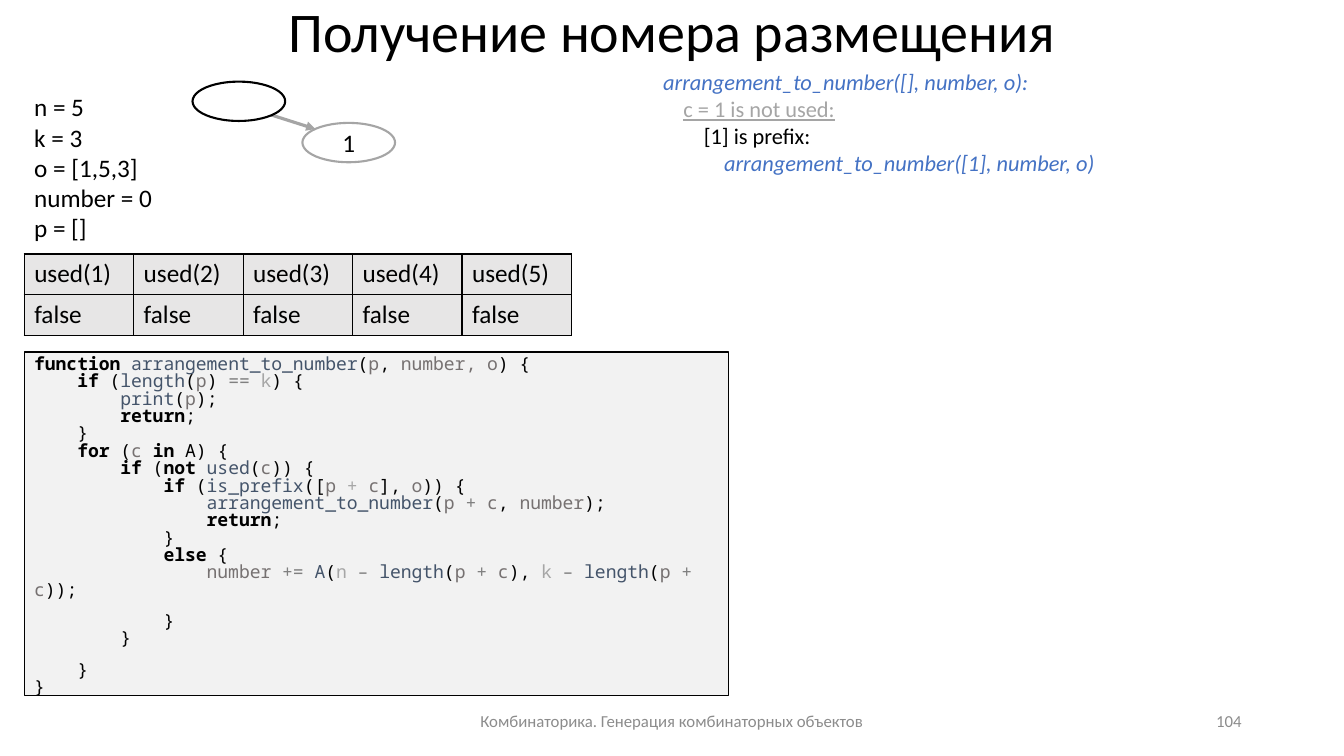
from lxml import etree
from pptx import Presentation
from pptx.dml.color import RGBColor
from pptx.enum.shapes import MSO_CONNECTOR, MSO_SHAPE
from pptx.enum.text import MSO_ANCHOR, PP_ALIGN
from pptx.oxml.ns import qn
from pptx.util import Pt

RECTANGLE, OVAL = MSO_SHAPE.RECTANGLE, MSO_SHAPE.OVAL
STRAIGHT = MSO_CONNECTOR.STRAIGHT
TOP, MIDDLE = MSO_ANCHOR.TOP, MSO_ANCHOR.MIDDLE
LEFT, CENTER, RIGHT = PP_ALIGN.LEFT, PP_ALIGN.CENTER, PP_ALIGN.RIGHT

COLORS = {
    "black": "000000", "white": "FFFFFF", "code_fill": "F2F2F2",
    "cell_fill": "E7E6E6", "function": "44546A", "variable": "767171",
    "operator": "808080", "pale": "A6A6A6", "call": "4472C4",
    "branch": "A5A5A5", "footer": "8C8C8C",
}
RGB = {name: RGBColor.from_string(value) for name, value in COLORS.items()}

# The first character of a text piece selects its style
STYLES = {
    "*": ("black", {"bold": True}),
    "@": ("function", {}),
    "$": ("variable", {}),
    "~": ("operator", {}),
    "%": ("pale", {}),
    "!": ("call", {"italic": True}),
    "_": ("branch", {"underline": True}),
    "#": ("footer", {}),
}

CODE_PARAGRAPHS = [
    [
        "*function |@arrangement_to_number|(|$p|, |$number, o|) {",
        "    |*if| (|@length|(|$p|) |~== |%k|) {",
        "        |@print|(|$p|);",
        "        |*return|;",
        "    }",
        "    |*for| (|$c |*in| A) {",
        "        |*if| (|*not |@used|(|$c|)) {",
        "            |*if| (|@is_prefix|([|$p |%+ |$c|], |$o|)) {",
        "                |@arrangement_to_number|(|$p |~+ |$c|, |$number|);",
        "                |*return|;",
        "            }",
        "            |*else| {",
        "                |$number |~+= |@A|(|%n |~– |@length|(|$p |~+ |$c|), "
        "|%k|~ – |@length|(|$p |~+|$ c|));",
    ],
    ["            }", "        }"],
    ["    }", "}"],
]
TRACE = [
    "!arrangement_to_number([], number, o):",
    "_c = 1 is not used:",
    "[1] is prefix:",
    "!arrangement_to_number([1], number, o)",
]
STATE = ["n = 5", "k = 3", "o = [1,5,3]", "number = 0", "p = []"]


def write_line(paragraph, line, size, face="Calibri"):
    """Add the pieces of line, separated by |, as styled runs."""
    for piece in line.split("|"):
        color, formats = STYLES.get(piece[0], ("black", {}))
        run = paragraph.add_run()
        run.text = piece[1:] if piece[0] in STYLES else piece
        run.font.color.rgb = RGB[color]
        for name, value in {"size": Pt(size), "name": face, **formats}.items():
            setattr(run.font, name, value)


def add_text(box, lines, size, align=LEFT, anchor=TOP, indent=0):
    """Put one line in each paragraph, each indented further by indent."""
    slide_shape = slide.shapes.add_textbox(*map(Pt, box))
    frame = slide_shape.text_frame
    frame.word_wrap = True
    frame.vertical_anchor = anchor
    for level, line in enumerate(lines):
        paragraph = frame.paragraphs[0] if level == 0 else frame.add_paragraph()
        paragraph.alignment = align
        if indent:
            paragraph._p.get_or_add_pPr().set("marL", str(Pt(level * indent)))
        write_line(paragraph, line, size)
    return frame


presentation = Presentation()
presentation.slide_width, presentation.slide_height = Pt(960), Pt(540)
slide = presentation.slides.add_slide(presentation.slide_layouts[6])

# Title
title = add_text((66, -27.4, 828, 104.4), ["Получение номера размещения"], 40, CENTER, MIDDLE)
title.paragraphs[0].line_spacing = 0.9

# Code listing
listing = slide.shapes.add_shape(RECTANGLE, Pt(17.3), Pt(251.3), Pt(503.3), Pt(245.5))
listing.shadow.inherit = False
listing.fill.solid()
listing.fill.fore_color.rgb = RGB["code_fill"]
listing.line.color.rgb = RGB["black"]
listing.line.width = Pt(1)
code = listing.text_frame
code.word_wrap = True
code.vertical_anchor = TOP
for index, lines in enumerate(CODE_PARAGRAPHS):
    paragraph = code.add_paragraph() if index else code.paragraphs[0]
    paragraph.alignment = LEFT
    paragraph.line_spacing = 0.8
    if index:
        paragraph.space_before = Pt(10)
    for row, line in enumerate(lines):
        if row:
            paragraph.add_line_break()
        write_line(paragraph, line, 12.9, "Noto Sans Mono")

# Variables and call trace
add_text((17.3, 61.9, 104.4, 116.6), STATE, 18)
add_text((466.6, 45.4, 344.2, 85), TRACE, 16, indent=14.5)

# Table of used elements
table = slide.shapes.add_table(2, 5, Pt(17.3), Pt(181.4), Pt(391), Pt(58.4)).table
table.first_row = table.horz_banding = False
for column in table.columns:
    column.width = Pt(78.2)
for row in table.rows:
    row.height = Pt(29.2)
for row in range(2):
    for column in range(5):
        cell = table.cell(row, column)
        write_line(cell.text_frame.paragraphs[0], "false" if row else f"used({column + 1})", 18)
        properties = cell._tc.get_or_add_tcPr()
        for side in ("a:lnL", "a:lnR", "a:lnT", "a:lnB"):
            border = etree.SubElement(properties, qn(side), w=str(Pt(1)))
            fill = etree.SubElement(border, qn("a:solidFill"))
            etree.SubElement(fill, qn("a:srgbClr"), val=COLORS["black"])
        cell.fill.solid()
        cell.fill.fore_color.rgb = RGB["cell_fill"]

# Search tree
arrow = slide.shapes.add_connector(STRAIGHT, Pt(193.7), Pt(82.1), Pt(225.4), Pt(92.2))
arrow.line.color.rgb = RGB["branch"]
arrow.line.width = Pt(2.25)
etree.SubElement(arrow.line._get_or_add_ln(), qn("a:tailEnd"), type="triangle")
etree.SubElement(arrow._element.spPr, qn("a:effectLst"))
for left, top, color, label in [(137.5, 58.3, "black", ""), (216, 87.8, "branch", "1")]:
    node = slide.shapes.add_shape(OVAL, Pt(left), Pt(top), Pt(66.2), Pt(28.1))
    node.shadow.inherit = False
    node.fill.solid()
    node.fill.fore_color.rgb = RGB["white"]
    node.line.color.rgb = RGB[color]
    node.line.width = Pt(1.5)
    node.text_frame.vertical_anchor = MIDDLE
    if label:
        node.text_frame.paragraphs[0].alignment = CENTER
        write_line(node.text_frame.paragraphs[0], label, 18)

# Footer
footer = "#Комбинаторика. Генерация комбинаторных объектов"
add_text((318, 500.5, 324, 28.8), [footer], 12, CENTER, MIDDLE)
add_text((678, 500.5, 216, 28.8), ["#104"], 12, RIGHT, MIDDLE)

presentation.save("out.pptx")
